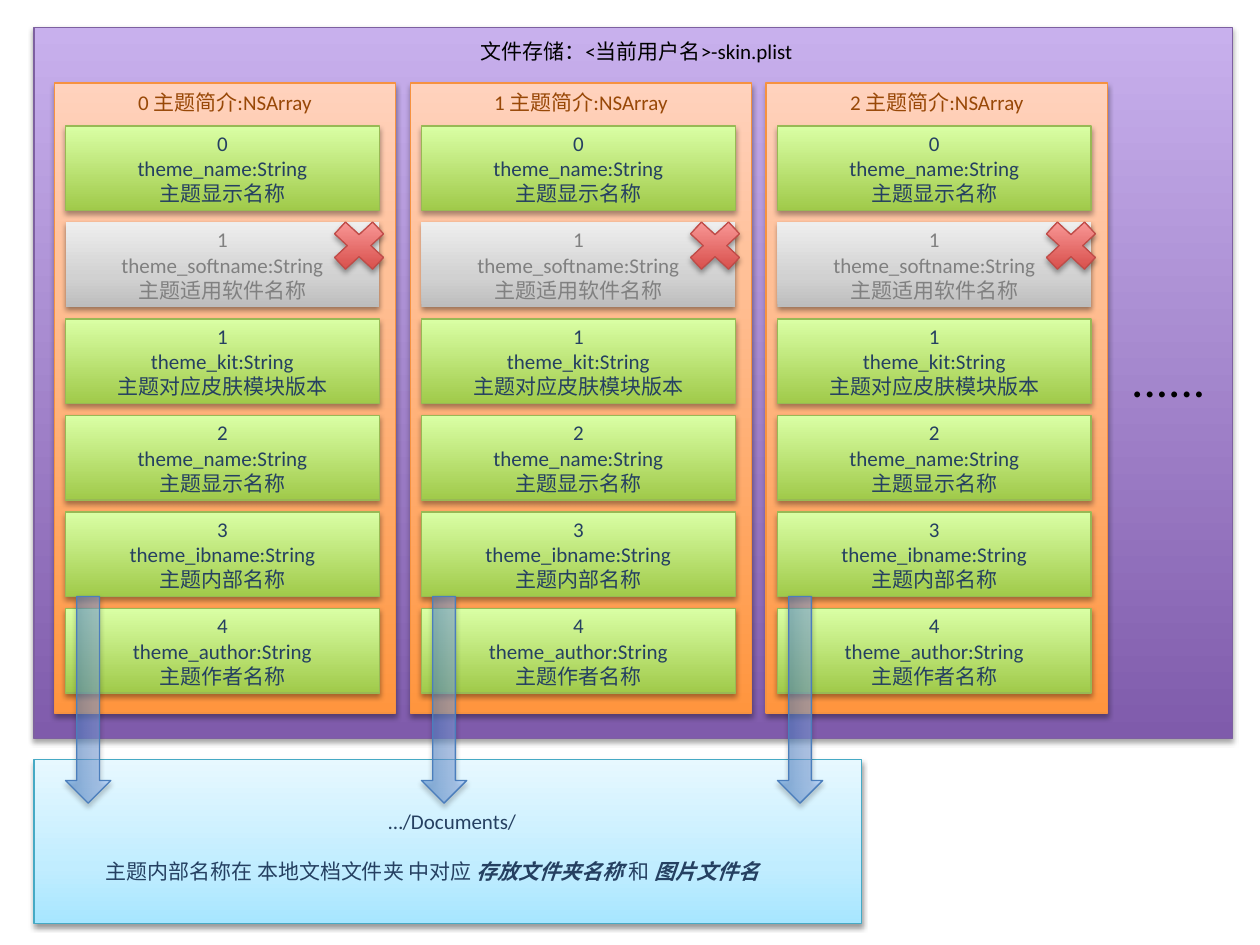
from lxml import etree
from pptx import Presentation
from pptx.dml.color import RGBColor
from pptx.enum.shapes import MSO_SHAPE as Shape
from pptx.enum.text import MSO_ANCHOR as Anchor, MSO_AUTO_SIZE as AutoSize, PP_ALIGN as Align
from pptx.oxml import parse_xml
from pptx.oxml.ns import nsdecls
from pptx.util import Inches, Pt

COLORS = {
    "black": "000000", "brown": "984807", "navy": "254061", "gray": "808080",
}
# Gradient stops run from bottom to top as (position, colour).
STYLES = {
    "folder": {"stops": [(0, "A7E6FF"), (35, "C1EDFF"), (100, "E7F8FF")], "line": "46AAC5",
               "shade": 38, "offset": 1.6},
    "file": {"stops": [(0, "7F5BAB"), (100, "C8B0ED")], "line": "7D60A0"},
    "theme": {"stops": [(0, "FF953E"), (100, "FFD2BD")], "line": "F69240"},
    "field": {"stops": [(0, "A0CA4A"), (100, "DAFFA5")], "line": "98B955"},
    "dropped": {"stops": [(0, "BDBDBD"), (35, "D1D1D1"), (100, "EEEEEE")],
                "shade": 38, "offset": 1.6},
    "cross": {"stops": [(0, "D1403C"), (100, "FFA6A5")], "line": "BF4C48"},
    "arrow": {"stops": [(0, "3F80CE"), (100, "A4C4FF")], "line": "4B7EBC",
              "alpha": 50, "angle": 0},
}
FIELDS = [
    ("0", "theme_name:String", "主题显示名称"),
    ("1", "theme_softname:String", "主题适用软件名称"),
    ("1", "theme_kit:String", "主题对应皮肤模块版本"),
    ("2", "theme_name:String", "主题显示名称"),
    ("3", "theme_ibname:String", "主题内部名称"),
    ("4", "theme_author:String", "主题作者名称"),
]
DROPPED_ROW = 1
THEME_COUNT = 3
THEME_LEFT, THEME_TOP, THEME_WIDTH, THEME_HEIGHT = 0.43, 0.66, 2.71, 5
THEME_PITCH = 5.65 / 2
FIELD_INSET, FIELD_TOP, FIELD_WIDTH, FIELD_HEIGHT = 0.09, 1, 2.49, 0.67
FIELD_PITCH = 3.83 / 5


def theme_left(column):
    return THEME_LEFT + column * THEME_PITCH


def field_top(row):
    return FIELD_TOP + row * FIELD_PITCH


def paint(shape, stops, line=None, shade=35, offset=1.8, alpha=100, angle=270):
    """Give a shape its gradient, outline and soft shadow below."""
    stop_xml = "".join(
        f'<a:gs pos="{position * 1000}"><a:srgbClr val="{color}">'
        f'<a:alpha val="{alpha * 1000}"/></a:srgbClr></a:gs>'
        for position, color in stops)
    gradient = parse_xml(
        f'<a:gradFill {nsdecls("a")} rotWithShape="1"><a:gsLst>{stop_xml}</a:gsLst>'
        f'<a:lin ang="{angle * 60000}" scaled="0"/></a:gradFill>')
    properties = shape._element.spPr
    properties.insert(2, gradient)
    if line:
        shape.line.color.rgb = RGBColor.from_string(line)
        shape.line.width = Pt(0.75)
    else:
        shape.line.fill.background()
    shape.shadow.inherit = False
    effects = properties.find("{*}effectLst")
    shadow = parse_xml(
        f'<a:outerShdw {nsdecls("a")} blurRad="{Pt(3.1)}" dist="{Pt(offset)}" '
        f'dir="5400000" rotWithShape="0"><a:srgbClr val="{COLORS["black"]}">'
        f'<a:alpha val="{shade * 1000}"/></a:srgbClr></a:outerShdw>')
    etree.SubElement(effects, shadow.tag, shadow.attrib).extend(list(shadow))


def write_text(box, paragraphs, color="black", size=12, aligns=(Align.CENTER,), gap=0):
    """Fill a box; a paragraph is a string or a list of (text, emphasised) spans.

    The last of aligns serves all further paragraphs; gap parts paragraphs, in points.
    """
    frame = box.text_frame
    for index, content in enumerate(paragraphs):
        para = frame.add_paragraph() if index else frame.paragraphs[0]
        para.alignment = aligns[min(index, len(aligns) - 1)]
        if index and gap:
            para.space_before = Pt(gap)
        spans = [(content, False)] if isinstance(content, str) else content
        for text, emphasised in spans:
            span = para.add_run()
            span.text = text
            span.font.name = "Calibri"
            span.font.size = Pt(size)
            span.font.bold = span.font.italic = emphasised
            span.font.color.rgb = RGBColor.from_string(COLORS[color])


def add_block(shapes, style, left, top, width, height, kind=Shape.RECTANGLE):
    block = shapes.add_shape(kind, *map(Inches, (left, top, width, height)))
    paint(block, **STYLES[style])
    return block


def add_label(shapes, paragraphs, left, top, width, height, wrap=True, **text_format):
    label = shapes.add_textbox(*map(Inches, (left, top, width, height)))
    label.text_frame.word_wrap = wrap
    label.text_frame.auto_size = AutoSize.SHAPE_TO_FIT_TEXT
    write_text(label, paragraphs, **text_format)


def add_theme(page, column):
    shapes = page.shapes.add_group_shape().shapes
    left = theme_left(column)
    add_block(shapes, "theme", left, THEME_TOP, THEME_WIDTH, THEME_HEIGHT)
    add_label(shapes, [f"{column} 主题简介:NSArray"], left, THEME_TOP, THEME_WIDTH, 0.3,
              color="brown")
    for row, lines in enumerate(FIELDS):
        dropped = row == DROPPED_ROW
        field = add_block(shapes, "dropped" if dropped else "field",
                          left + FIELD_INSET, field_top(row), FIELD_WIDTH, FIELD_HEIGHT)
        field.text_frame.vertical_anchor = Anchor.MIDDLE
        write_text(field, lines, color="gray" if dropped else "navy")
    cross_width = 0.58
    add_block(shapes, "cross", left + THEME_WIDTH - cross_width, 1.68, cross_width, 0.54,
              kind=Shape.MATH_MULTIPLY)


def add_folder_arrow(page, column):
    top = field_top(4) + FIELD_HEIGHT
    add_block(page.shapes, "arrow", theme_left(column) + FIELD_INSET, top, 0.36, 1.64,
              kind=Shape.DOWN_ARROW)


def main():
    deck = Presentation()
    deck.slide_width, deck.slide_height = Inches(10), Inches(7.5)
    page = deck.slides.add_slide(deck.slide_layouts[6])
    add_block(page.shapes, "folder", 0.27, 6.03, 6.57, 1.3)
    add_block(page.shapes, "file", 0.27, 0.22, 9.51, 5.64)
    add_label(page.shapes, ["文件存储：<当前用户名>-skin.plist"], THEME_LEFT, 0.26, 9.24, 0.3)
    for column in range(THEME_COUNT):
        add_theme(page, column)
    add_label(page.shapes, ["......"], 8.88, 2.72, 0.8, 0.57, wrap=False,
              size=28, aligns=(Align.LEFT,))
    for column in range(THEME_COUNT):
        add_folder_arrow(page, column)
    folder_note = [
        ("主题内部名称在 本地文档文件夹 中对应 ", False), ("存放文件夹名称 ", True),
        ("和 ", False), ("图片文件名", True),
    ]
    add_label(page.shapes, ["…/Documents/", folder_note], 0.74, 6.37, 5.7, 0.71,
              color="navy", aligns=(Align.CENTER, Align.LEFT), gap=14)
    deck.save("out.pptx")


if __name__ == "__main__":
    main()
